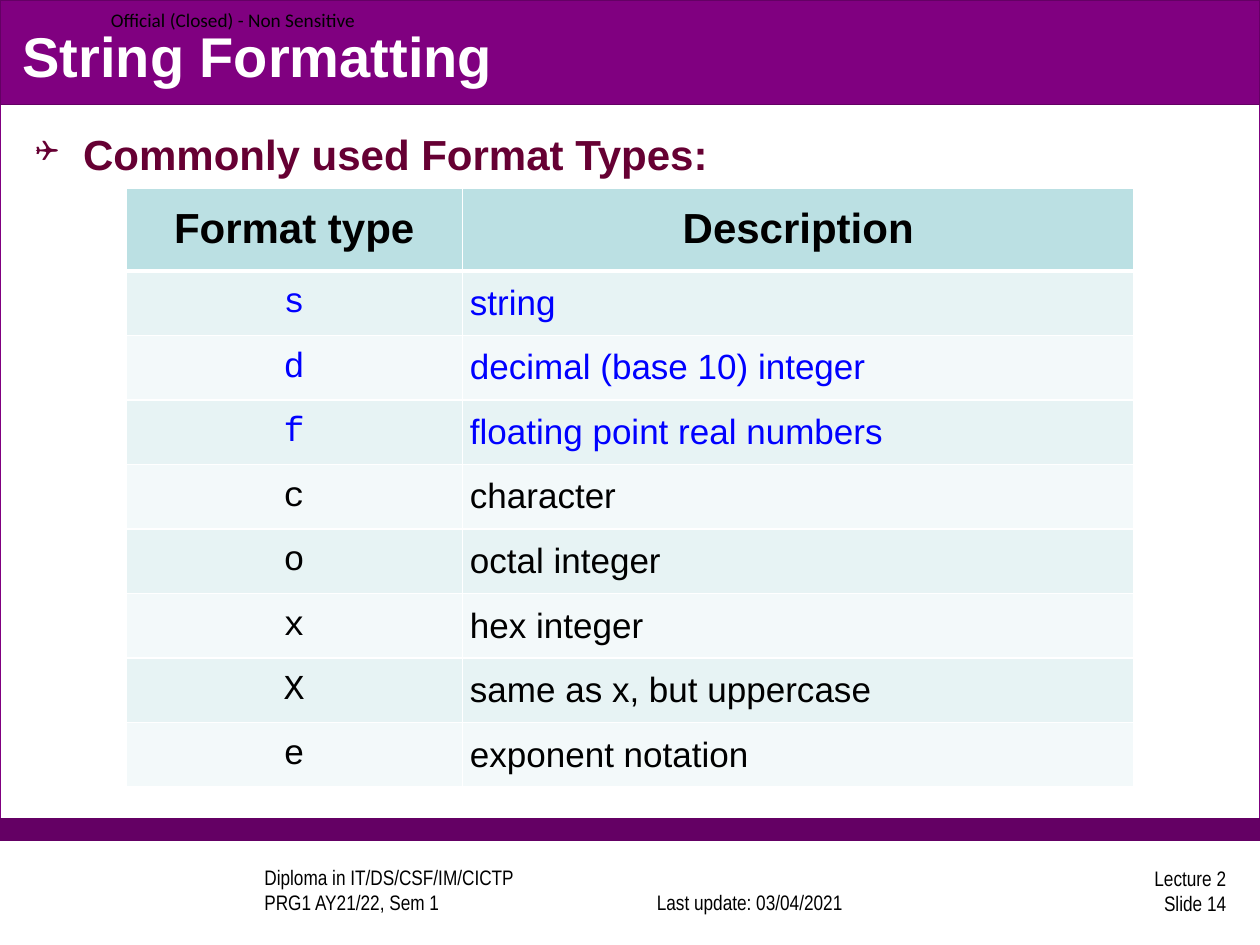
import pptx
import pptx.util
import pptx.dml.color
import pptx.enum.shapes
import pptx.enum.text
import pptx.oxml
import pptx.oxml.ns

Inches = pptx.util.Inches
Pt = pptx.util.Pt
ALIGN = pptx.enum.text.PP_ALIGN
ANCHOR = pptx.enum.text.MSO_ANCHOR

# Content
TITLE = "String Formatting"
HEADING = "Commonly used Format Types:"
HEADER = ("Format type", "Description")
FORMAT_TYPES = [
    ("s", "string"),
    ("d", "decimal (base 10) integer"),
    ("f", "floating point real numbers"),
    ("c", "character"),
    ("o", "octal integer"),
    ("x", "hex integer"),
    ("X", "same as x, but uppercase"),
    ("e", "exponent notation"),
]
HIGHLIGHTED_ROWS = 3

COLORS = {
    "white": "FFFFFF", "black": "000000", "purple": "800080",
    "dark purple": "640064", "maroon": "660033", "blue": "0000FF",
    "header": "BBE0E3", "odd row": "E7F3F4", "even row": "F3F9FA",
}

# left, top, width, height, fill, line
BANDS = [
    (0, 0, 10, 6.67, "white", "purple"),
    (0, 6.5, 10, 0.17, "dark purple", "dark purple"),
    (0, 0, 10, 0.83, "purple", "dark purple"),
]

# text, left, top, width, height, alignment, anchor, font, size, side margin
LABELS = [
    ("Diploma in IT/DS/CSF/IM/CICTP\nPRG1 AY21/22, Sem 1", 2, 6.89, 2.67, 0.42,
     ALIGN.LEFT, ANCHOR.BOTTOM, "Arial Narrow", 12, 0.1),
    ("Last update: 03/04/2021", 4.91, 6.89, 2.08, 0.42,
     ALIGN.CENTER, ANCHOR.BOTTOM, "Arial Narrow", 12, 0.1),
    ("Lecture 2\nSlide 14", 7.75, 6.86, 2.08, 0.42,
     ALIGN.RIGHT, ANCHOR.MIDDLE, "Arial Narrow", 12, 0.1),
    ("Official (Closed) - Non Sensitive", 0.88, 0, 2.13, 0.31,
     ALIGN.LEFT, ANCHOR.MIDDLE, "Calibri", 11, 0),
]

TABLE_BOX = (1, 1.49, 8, 4.76)
COLUMN_WIDTHS = (2.67, 5.33)
HEADER_HEIGHT = 0.66


def rgb(name):
    return pptx.dml.color.RGBColor.from_string(COLORS[name])


def format_text(text_frame, font, size, color, bold=False, alignment=ALIGN.LEFT):
    for paragraph in text_frame.paragraphs:
        paragraph.alignment = alignment
        for run in paragraph.runs:
            run.font.name = font
            run.font.size = Pt(size)
            run.font.bold = bold
            run.font.color.rgb = rgb(color)


def place(shape, left, top, width, height):
    shape.left, shape.top = Inches(left), Inches(top)
    shape.width, shape.height = Inches(width), Inches(height)


def set_borders(cell, bottom_width):
    properties = cell._tc.get_or_add_tcPr()
    widths = {"lnL": 1, "lnR": 1, "lnT": 1, "lnB": bottom_width}
    for position, (tag, width) in enumerate(widths.items()):
        properties.insert(position, pptx.oxml.parse_xml(
            f'<a:{tag} {pptx.oxml.ns.nsdecls("a")} w="{Pt(width)}"><a:solidFill>'
            f'<a:srgbClr val="{COLORS["white"]}"/></a:solidFill></a:{tag}>'))


def fill_cell(cell, text, fill, bottom_width, font, size, color, bold, alignment):
    cell.text_frame.text = text
    format_text(cell.text_frame, font, size, color, bold, alignment)
    paragraph = cell.text_frame.paragraphs[0]
    paragraph.space_after = Pt(3)
    cell.vertical_anchor = ANCHOR.MIDDLE
    cell.margin_left = cell.margin_right = Inches(0.06)
    cell.margin_top = cell.margin_bottom = 0
    cell.fill.solid()
    cell.fill.fore_color.rgb = rgb(fill)
    set_borders(cell, bottom_width)


def add_band(slide, left, top, width, height, fill, line):
    band = slide.shapes.add_shape(
        pptx.enum.shapes.MSO_SHAPE.RECTANGLE,
        Inches(left), Inches(top), Inches(width), Inches(height))
    band.shadow.inherit = False
    band.fill.solid()
    band.fill.fore_color.rgb = rgb(fill)
    band.line.color.rgb = rgb(line)
    band.line.width = Pt(0.75)


def add_label(slide, text, left, top, width, height, alignment, anchor, font, size, margin):
    label = slide.shapes.add_textbox(
        Inches(left), Inches(top), Inches(width), Inches(height))
    text_frame = label.text_frame
    text_frame.word_wrap = margin > 0
    text_frame.margin_left = text_frame.margin_right = Inches(margin)
    text_frame.vertical_anchor = anchor
    text_frame.text = text
    format_text(text_frame, font, size, "black", alignment=alignment)


def add_headings(slide):
    title, body = slide.placeholders
    place(title, 0.08, 0.13, 9.83, 0.62)
    place(body, 0.18, 0.97, 9.83, 0.38)
    title.text_frame.text = TITLE
    body.text_frame.text = HEADING
    for shape, anchor in ((title, ANCHOR.MIDDLE), (body, ANCHOR.TOP)):
        shape.text_frame.auto_size = pptx.enum.text.MSO_AUTO_SIZE.NONE
        shape.text_frame.vertical_anchor = anchor
        slide.shapes._spTree.append(shape._element)  # in front of the bands

    # Square bullet with a hanging indent
    paragraph = body.text_frame.paragraphs[0]
    properties = paragraph._p.get_or_add_pPr()
    properties.set("marL", str(Inches(0.38)))
    properties.set("indent", str(-Inches(0.38)))
    for bullet in ('buSzPct {} val="70000"', 'buFont {} typeface="Wingdings"',
                   'buChar {} char="❑"'):
        properties.append(pptx.oxml.parse_xml(
            "<a:" + bullet.format(pptx.oxml.ns.nsdecls("a")) + "/>"))
    paragraph.space_before = Pt(0)
    format_text(title.text_frame, "Arial", 32, "white", True)
    format_text(body.text_frame, "Arial", 24, "maroon", True)


def add_format_table(slide):
    table = slide.shapes.add_table(
        len(FORMAT_TYPES) + 1, len(HEADER), *map(Inches, TABLE_BOX)).table
    for column, width in zip(table.columns, COLUMN_WIDTHS):
        column.width = Inches(width)
    row_height = (TABLE_BOX[3] - HEADER_HEIGHT) / len(FORMAT_TYPES)
    table.rows[0].height = Inches(HEADER_HEIGHT)
    for column, text in enumerate(HEADER):
        fill_cell(table.cell(0, column), text, "header", 3,
                  "Arial", 24, "black", True, ALIGN.CENTER)
    styles = (("Courier New", ALIGN.CENTER), ("Arial", ALIGN.JUSTIFY))
    for row, texts in enumerate(FORMAT_TYPES, start=1):
        table.rows[row].height = Inches(row_height)
        fill = "odd row" if row % 2 else "even row"
        color = "blue" if row <= HIGHLIGHTED_ROWS else "black"
        for column, (text, (font, alignment)) in enumerate(zip(texts, styles)):
            fill_cell(table.cell(row, column), text, fill, 1,
                      font, 20, color, False, alignment)


def main():
    presentation = pptx.Presentation()
    presentation.slide_width = Inches(10)
    presentation.slide_height = Inches(7.5)
    slide = presentation.slides.add_slide(presentation.slide_layouts[1])
    for band in BANDS:
        add_band(slide, *band)
    for label in LABELS:
        add_label(slide, *label)
    add_headings(slide)
    add_format_table(slide)
    presentation.save("out.pptx")


if __name__ == "__main__":
    main()
